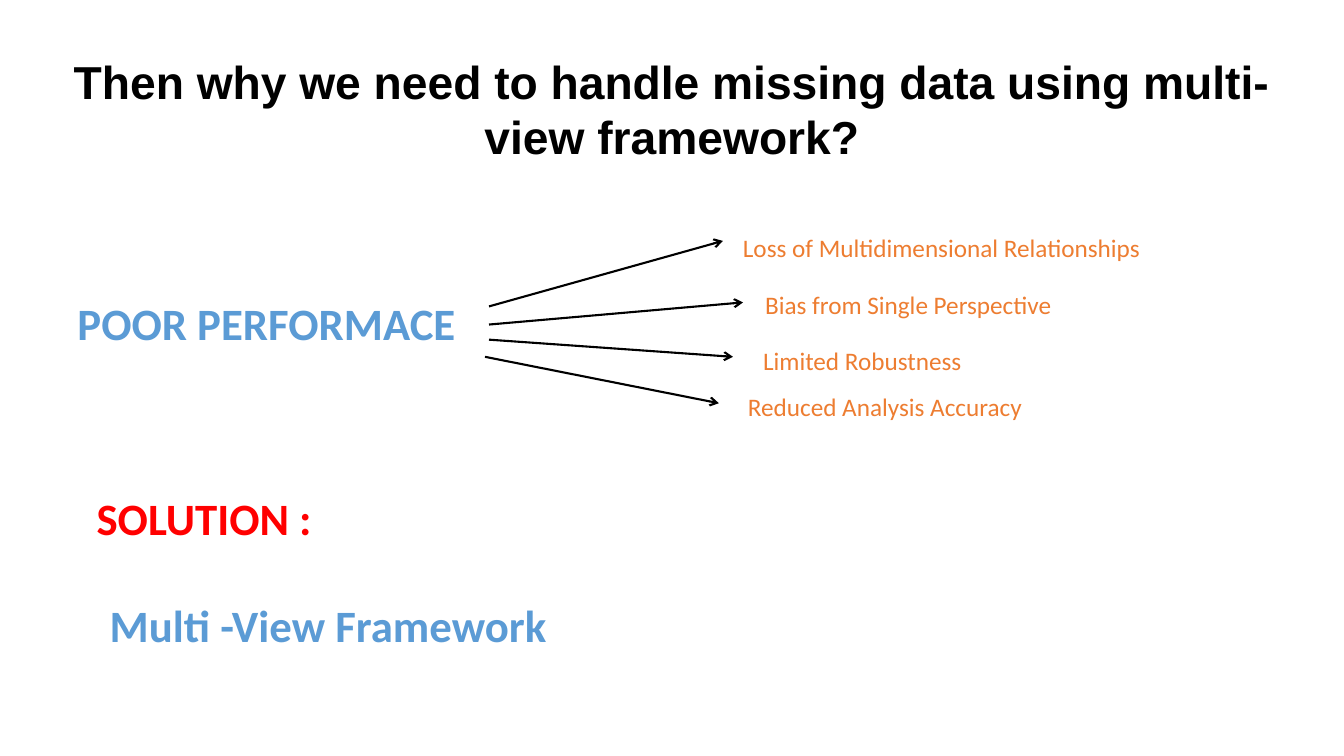
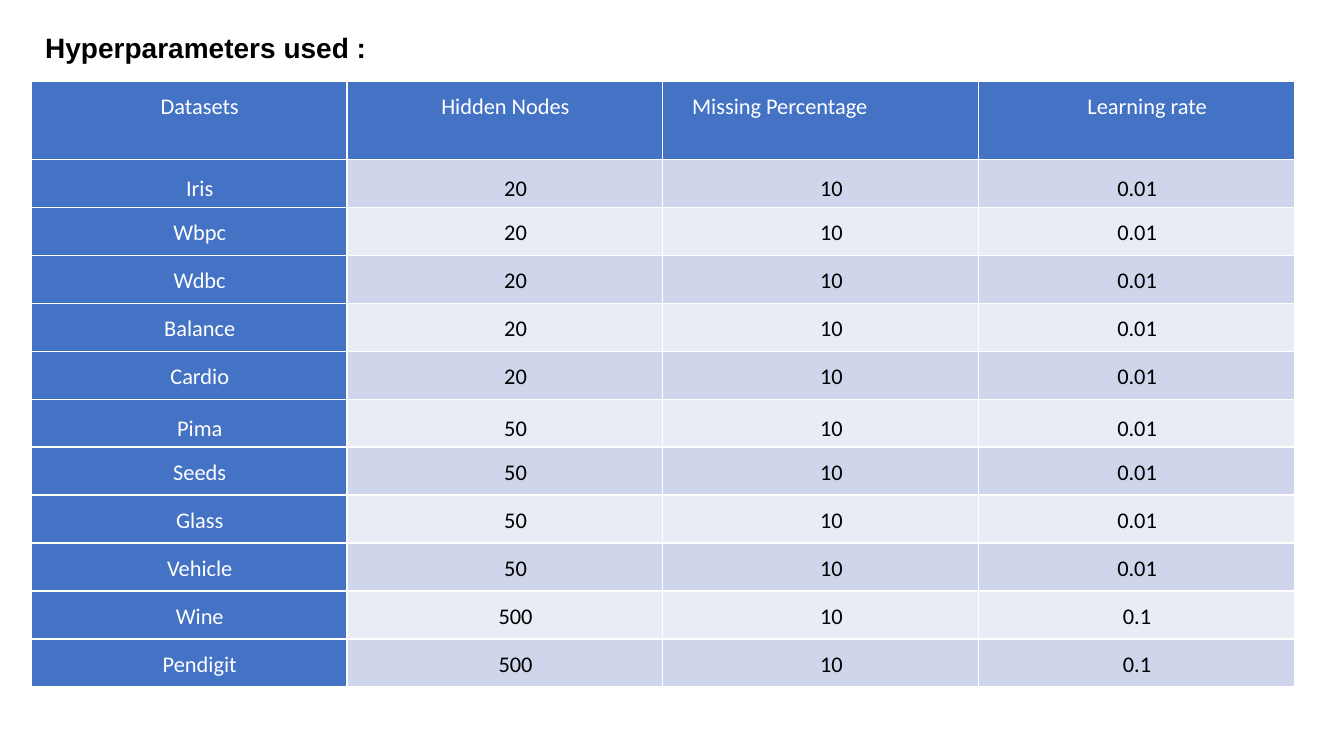
from lxml import etree
from pptx import Presentation
from pptx.dml.color import RGBColor
from pptx.enum.shapes import MSO_CONNECTOR
from pptx.enum.text import MSO_ANCHOR, MSO_AUTO_SIZE, PP_ALIGN
from pptx.oxml.ns import qn
from pptx.util import Inches, Pt

STRAIGHT = MSO_CONNECTOR.STRAIGHT
TOP, MIDDLE = MSO_ANCHOR.TOP, MSO_ANCHOR.MIDDLE
LEFT, CENTER = PP_ALIGN.LEFT, PP_ALIGN.CENTER
FIT_SHAPE = MSO_AUTO_SIZE.SHAPE_TO_FIT_TEXT

BLACK = RGBColor(0x00, 0x00, 0x00)
WHITE = RGBColor(0xFF, 0xFF, 0xFF)
RED = RGBColor(0xFF, 0x00, 0x00)
SKY = RGBColor(0x5B, 0x9B, 0xD5)
ORANGE = RGBColor(0xED, 0x7D, 0x31)
BLUE = RGBColor(0x44, 0x72, 0xC4)
BAND_DARK = RGBColor(0xCF, 0xD5, 0xEA)
BAND_LIGHT = RGBColor(0xE9, 0xEB, 0xF5)

TITLE_FONT, BODY_FONT = "Arial", "Calibri"

# Text, left, top, width, colour
STATEMENTS = [
    ("POOR PERFORMACE", 0.67, 2.88, 4.1, SKY),
    ("SOLUTION :", 0.86, 4.82, 6.47, RED),
    ("Multi -View Framework", 0.99, 5.88, 7.87, SKY),
]
# Text, left, top, width, arrow start, arrow end
EFFECTS = [
    ("Loss of Multidimensional Relationships", 7.27, 2.26, 4.15, (4.85, 3.04), (7.17, 2.39)),
    ("Bias from Single Perspective", 7.49, 2.82, 3.38, (4.85, 3.22), (7.37, 3)),
    ("Limited Robustness", 7.47, 3.38, 3.17, (4.85, 3.37), (7.27, 3.54)),
    ("Reduced Analysis Accuracy", 7.32, 3.83, 3.32, (4.81, 3.54), (7.13, 4)),
]

HEADERS = ["Datasets", "Hidden Nodes", "Missing Percentage", "Learning rate"]
PARAMETERS = [
    ("Iris", "20", "10", "0.01"),
    ("Wbpc", "20", "10", "0.01"),
    ("Wdbc", "20", "10", "0.01"),
    ("Balance", "20", "10", "0.01"),
    ("Cardio", "20", "10", "0.01"),
    ("Pima", "50", "10", "0.01"),
    ("Seeds", "50", "10", "0.01"),
    ("Glass", "50", "10", "0.01"),
    ("Vehicle", "50", "10", "0.01"),
    ("Wine", "500", "10", "0.1"),
    ("Pendigit", "500", "10", "0.1"),
]
MIDDLE_ROWS = {"Iris", "Pima"}
TABLE_WIDTH, TABLE_HEIGHT, HEADER_HEIGHT = 12.53, 6.01, 0.77


def add_page(deck):
    return deck.slides.add_slide(deck.slide_layouts[6])


def style_text(paragraph, size, color, font=BODY_FONT, bold=False, align=LEFT):
    paragraph.alignment = align
    for span in paragraph.runs:
        span.font.name = font
        span.font.size = Pt(size)
        span.font.bold = bold
        span.font.color.rgb = color


def add_text(page, text, left, top, width, height, size, color, **style):
    box = page.shapes.add_textbox(Inches(left), Inches(top), Inches(width), Inches(height))
    frame = box.text_frame
    frame.word_wrap = True
    frame.auto_size = FIT_SHAPE
    frame.text = text
    style_text(frame.paragraphs[0], size, color, **style)


def add_title(page, text, left, top, width, height, size, align=LEFT):
    add_text(page, text, left, top, width, height, size, BLACK,
             font=TITLE_FONT, bold=True, align=align)


def add_arrow(page, start, end):
    points = [Inches(value) for value in (*start, *end)]
    arrow = page.shapes.add_connector(STRAIGHT, *points)
    arrow.line.color.rgb = BLACK
    arrow.line.width = Pt(1.5)
    etree.SubElement(arrow.line._get_or_add_ln(), qn("a:tailEnd"), type="arrow")
    etree.SubElement(arrow._element.spPr, qn("a:effectLst"))


def add_borders(cell):
    properties = cell._tc.get_or_add_tcPr()
    for side in ("a:lnL", "a:lnR", "a:lnT", "a:lnB"):
        line = etree.SubElement(properties, qn(side), w=str(Pt(1)))
        fill = etree.SubElement(line, qn("a:solidFill"))
        etree.SubElement(fill, qn("a:srgbClr"), val=str(WHITE))


def fill_cell(cell, text, fill, color, align, indent, anchor):
    add_borders(cell)
    cell.fill.solid()
    cell.fill.fore_color.rgb = fill
    cell.vertical_anchor = anchor
    cell.margin_left, cell.margin_right = Inches(0.09), Inches(0.08)
    cell.margin_top, cell.margin_bottom = Inches(0.1), 0
    cell.text = text
    paragraph = cell.text_frame.paragraphs[0]
    paragraph.line_spacing = 1.07
    paragraph.space_after = Pt(0.2)
    style_text(paragraph, 16, color, align=align)
    if indent:
        paragraph_properties = paragraph._p.get_or_add_pPr()
        paragraph_properties.set("marL", str(Inches(0.2)))
        paragraph_properties.set("indent", "0")


def add_parameter_table(page, left, top):
    rows = [HEADERS, *PARAMETERS]
    frame = page.shapes.add_table(len(rows), len(HEADERS), Inches(left), Inches(top),
                                  Inches(TABLE_WIDTH), Inches(TABLE_HEIGHT))
    table = frame.table
    for column in table.columns:
        column.width = Inches(TABLE_WIDTH / len(HEADERS))
    body_height = (TABLE_HEIGHT - HEADER_HEIGHT) / len(PARAMETERS)
    for row_index, values in enumerate(rows):
        is_header = row_index == 0
        table.rows[row_index].height = Inches(HEADER_HEIGHT if is_header else body_height)
        band = BAND_DARK if row_index % 2 else BAND_LIGHT
        anchor = MIDDLE if values[0] in MIDDLE_ROWS else TOP
        flush_column = 1 if is_header else 3
        for column_index, text in enumerate(values):
            is_label = is_header or column_index == 0
            align = LEFT if is_header and column_index == 2 else CENTER
            fill_cell(table.cell(row_index, column_index), text,
                      BLUE if is_label else band, WHITE if is_label else BLACK,
                      align, column_index != flush_column, anchor)


def build_motivation(deck):
    page = add_page(deck)
    add_title(page, "Then why we need to handle missing data using multi-view framework?",
              0.3, 0.48, 12.73, 1.21, 33, CENTER)
    for text, left, top, width, color in STATEMENTS:
        add_text(page, text, left, top, width, 0.64, 32, color, bold=True)
    for text, left, top, width, start, end in EFFECTS:
        add_arrow(page, start, end)
        add_text(page, text, left, top, width, 0.4, 18, ORANGE)


def build_hyperparameters(deck):
    page = add_page(deck)
    add_parameter_table(page, 0.31, 0.81)
    add_title(page, "Hyperparameters used :", 0.35, 0.25, 4.53, 0.44, 20)


def main():
    deck = Presentation()
    deck.slide_width, deck.slide_height = Inches(13.33), Inches(7.5)
    build_motivation(deck)
    build_hyperparameters(deck)
    deck.save("out.pptx")


if __name__ == "__main__":
    main()
